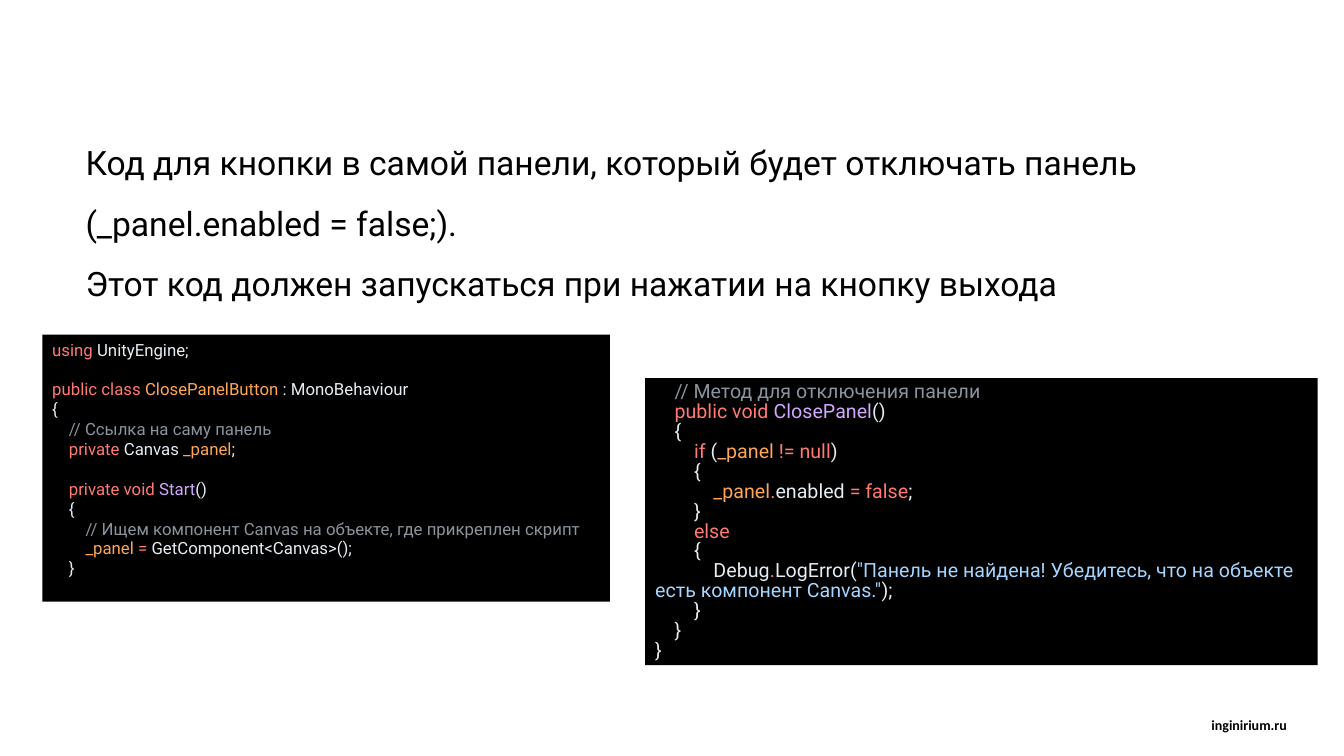
import pptx
import pptx.dml.color
import pptx.enum.shapes
import pptx.enum.text
import pptx.util
from dataclasses import dataclass

Inches = pptx.util.Inches
Pt = pptx.util.Pt
ALIGN = pptx.enum.text.PP_ALIGN
ANCHOR = pptx.enum.text.MSO_ANCHOR


def color(value):
    return pptx.dml.color.RGBColor.from_string(value)


@dataclass(frozen=True)
class Theme:
    black: str = "000000"
    plain: str = "E6EDF3"
    keyword: str = "FF7B72"
    name: str = "FFA657"
    method: str = "D2A8FF"
    comment: str = "8B949E"
    string: str = "A5D6FF"
    body_font: str = "Roboto"
    footer_font: str = "Calibri"
    body_size: int = 24
    footer_size: int = 10
    code_leading: float = 14.2


THEME = Theme()


def write(frame, lines, size, font=THEME.body_font, bold=False, align=ALIGN.LEFT,
          spacing=1.0, anchor=ANCHOR.TOP, blank_line=None):
    """Each line is a list of (text, colour) spans; an empty line becomes a gap."""
    frame.word_wrap = True
    frame.vertical_anchor = anchor
    para, gap = None, False
    for line in lines:
        if not line:
            gap = True
            continue
        para = frame.add_paragraph() if para is not None else frame.paragraphs[0]
        para.alignment = align
        para.line_spacing = spacing
        if gap:
            para.space_before = blank_line
            gap = False
        for text, tint in line:
            span = para.add_run()
            span.text = text
            span.font.name = font
            span.font.size = Pt(size)
            span.font.bold = bold
            span.font.color.rgb = color(tint)


class SlideBuilder:
    def __init__(self, deck, theme):
        self.theme = theme
        self.page = deck.slides.add_slide(deck.slide_layouts[6])

    def text(self, place, lines, **style):
        box = self.page.shapes.add_textbox(*map(Inches, place))
        write(box.text_frame, [[(line, self.theme.black)] for line in lines], **style)

    def code(self, place, lines, size):
        box = self.page.shapes.add_shape(
            pptx.enum.shapes.MSO_SHAPE.RECTANGLE, *map(Inches, place))
        box.shadow.inherit = False
        box.fill.solid()
        box.fill.fore_color.rgb = color(self.theme.black)
        box.line.fill.background()
        leading = Pt(self.theme.code_leading)
        write(box.text_frame, lines, size, spacing=leading, blank_line=leading)


# Code listings: one list of coloured spans per line
P, K, N, M, C, S = (THEME.plain, THEME.keyword, THEME.name, THEME.method,
                    THEME.comment, THEME.string)

START_CODE = [
    [("using ", K), ("UnityEngine;", P)],
    [],
    [("public class ", K), ("ClosePanelButton", N), (" : MonoBehaviour", P)],
    [("{", P)],
    [("    // Ссылка на саму панель", C)],
    [("    private", K), (" Canvas ", P), ("_panel", N), (";", P)],
    [],
    [("    private void ", K), ("Start", M), ("()", P)],
    [("    {", P)],
    [("        // Ищем компонент Canvas на объекте, где прикреплен скрипт", C)],
    [("        _panel ", N), ("= ", K), ("GetComponent<Canvas>();", P)],
    [("    }", P)],
]

CLOSE_CODE = [
    [("    // Метод для отключения панели", C)],
    [("    public void ", K), ("ClosePanel", M), ("()", P)],
    [("    {", P)],
    [("        if", K), (" (", P), ("_panel ", N), ("!= null", K), (")", P)],
    [("        {", P)],
    [("            _panel", N), (".", K), ("enabled ", P), ("= false", K), (";", P)],
    [("        }", P)],
    [("        else", K)],
    [("        {", P)],
    [("            Debug", P), (".", K), ("LogError(", P),
     ('"Панель не найдена! Убедитесь, что на объекте есть компонент Canvas."', S),
     (");", P)],
    [("        }", P)],
    [("    }", P)],
    [("}", P)],
]


def main():
    deck = pptx.Presentation()
    deck.slide_width, deck.slide_height = Inches(13.33), Inches(7.5)
    slide = SlideBuilder(deck, THEME)

    # Explanation
    slide.text((0.75, 1.16, 11.83, 5.17), [
        "Код для кнопки в самой панели, который будет отключать панель "
        "(_panel.enabled = false;).",
        "Этот код должен запускаться при нажатии на кнопку выхода",
    ], size=THEME.body_size, spacing=1.5)

    # Footer address
    slide.text((11.88, 7.06, 0.98, 0.27), ["inginirium.ru"], size=THEME.footer_size,
               font=THEME.footer_font, bold=True, align=ALIGN.RIGHT, anchor=ANCHOR.MIDDLE)

    # Code panels
    slide.code((0.42, 3.32, 5.63, 2.65), START_CODE, size=12)
    slide.code((6.4, 3.75, 6.67, 2.85), CLOSE_CODE, size=14)

    deck.save("out.pptx")


if __name__ == "__main__":
    main()
